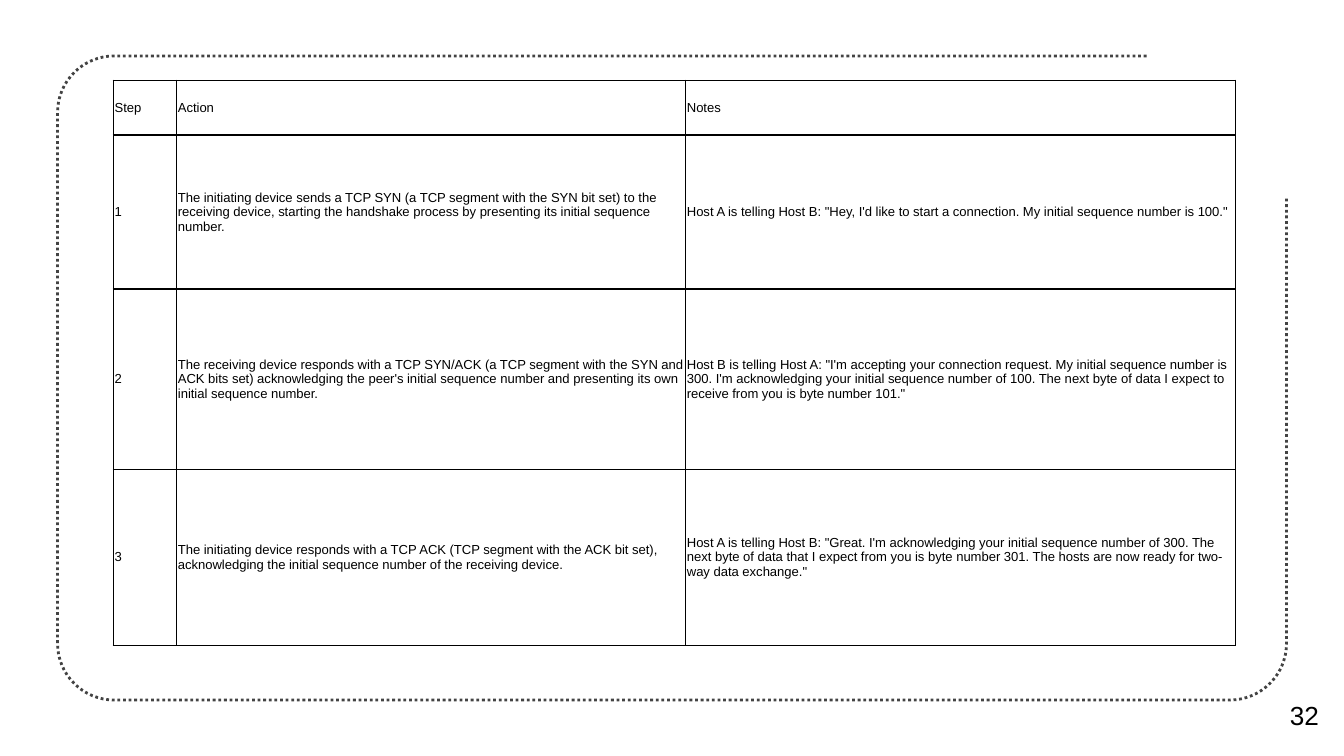
from math import cos, radians, sin
from lxml.etree import SubElement
from pptx import Presentation
from pptx.dml.color import RGBColor as Rgb
from pptx.enum.dml import MSO_LINE_DASH_STYLE as Dash
from pptx.enum.text import MSO_VERTICAL_ANCHOR as Anchor, PP_PARAGRAPH_ALIGNMENT as Align
from pptx.oxml import parse_xml
from pptx.oxml.ns import nsdecls, qn
from pptx.util import Pt

HUES = {"ink": "000000", "dots": "434343"}
ROWS = [
    ("Step", "Action", "Notes"),
    ("1",
     "The initiating device sends a TCP SYN (a TCP segment with the SYN bit set) to the receiving device, starting the handshake process by presenting its initial sequence number.",
     "Host A is telling Host B: \"Hey, I'd like to start a connection. My initial sequence number is 100.\""),
    ("2",
     "The receiving device responds with a TCP SYN/ACK (a TCP segment with the SYN and ACK bits set) acknowledging the peer's initial sequence number and presenting its own initial sequence number.",
     "Host B is telling Host A: \"I'm accepting your connection request. My initial sequence number is 300. I'm acknowledging your initial sequence number of 100. The next byte of data I expect to receive from you is byte number 101.\""),
    ("3",
     "The initiating device responds with a TCP ACK (TCP segment with the ACK bit set), acknowledging the initial sequence number of the receiving device.",
     "Host A is telling Host B: \"Great. I'm acknowledging your initial sequence number of 300. The next byte of data that I expect from you is byte number 301. The hosts are now ready for two-way data exchange.\""),
]
PAGE = "32"
WIDTHS = [33.9, 272.7, 294.6]
HEIGHTS = [29.3, 82.6, 96.6, 94.3]
LEFT, TOP, RIGHT, BASE, ROUND = 30.8, 30, 689.2, 375.1, 30.4
CORNERS = [
    (LEFT + ROUND, TOP + ROUND, 270),
    (LEFT + ROUND, BASE - ROUND, 180),
    (RIGHT - ROUND, BASE - ROUND, 90),
]
STEPS = 16


def write(frame, text, size, align=Align.LEFT, after=0, inset=0):
    frame.word_wrap = True
    para = frame.paragraphs[0]
    para.alignment = align
    para.space_after = Pt(after)
    run = para.add_run()
    run.text = text
    run.font.size = Pt(size)
    run.font.name = "Arial"
    run.font.color.rgb = Rgb.from_string(HUES["ink"])


def pad(item, inset):
    item.margin_left = item.margin_right = Pt(inset)
    item.margin_top = item.margin_bottom = Pt(inset)
    item.vertical_anchor = Anchor.MIDDLE


def edge(cell, side, width):
    line = parse_xml(f'<a:{side} {nsdecls("a")} w="{Pt(width)}"/>')
    fill = SubElement(line, qn("a:solidFill"))
    SubElement(fill, qn("a:srgbClr"), val=HUES["ink"])
    return line


def draw_frame(slide):
    dots = [(Pt(cx + ROUND * cos(radians(turn - 90 * n / STEPS))),
             Pt(cy + ROUND * sin(radians(turn - 90 * n / STEPS))))
            for cx, cy, turn in CORNERS for n in range(STEPS + 1)]
    path = slide.shapes.build_freeform(Pt(614.2), Pt(TOP))
    path.add_line_segments(dots + [(Pt(RIGHT), Pt(105.1))], close=False)
    shape = path.convert_to_shape()
    shape.shadow.inherit = False
    shape.fill.background()
    shape.line.color.rgb = Rgb.from_string(HUES["dots"])
    shape.line.width = Pt(1.5)
    shape.line.dash_style = Dash.ROUND_DOT


def draw_table(slide):
    table = slide.shapes.add_table(
        len(ROWS), len(WIDTHS), Pt(60.7), Pt(43),
        Pt(sum(WIDTHS)), Pt(sum(HEIGHTS))).table
    table.first_row = table.horz_banding = False
    for col, width in zip(table.columns, WIDTHS):
        col.width = Pt(width)
    for r, (texts, height) in enumerate(zip(ROWS, HEIGHTS)):
        table.rows[r].height = Pt(height)
        for c, text in enumerate(texts):
            cell = table.cell(r, c)
            pad(cell, 0.75)
            cell.fill.background()
            write(cell.text_frame, text, 7, after=14.2)
            thick = {"lnT": r == 1, "lnB": r == 0}
            for n, side in enumerate(("lnL", "lnR", "lnT", "lnB")):
                width = 1.5 if thick.get(side) else 0.75
                cell._tc.tcPr.insert(n, edge(cell, side, width))


def draw_page(slide):
    frame = slide.shapes.add_textbox(Pt(677.5), Pt(361.4), Pt(42.5), Pt(43.2)).text_frame
    pad(frame, 7.2)
    write(frame, PAGE, 14, align=Align.CENTER)


def main():
    deck = Presentation()
    deck.slide_width, deck.slide_height = Pt(720), Pt(405)
    slide = deck.slides.add_slide(deck.slide_layouts[6])
    draw_frame(slide)
    draw_page(slide)
    draw_table(slide)
    deck.save("out.pptx")


if __name__ == "__main__":
    main()
